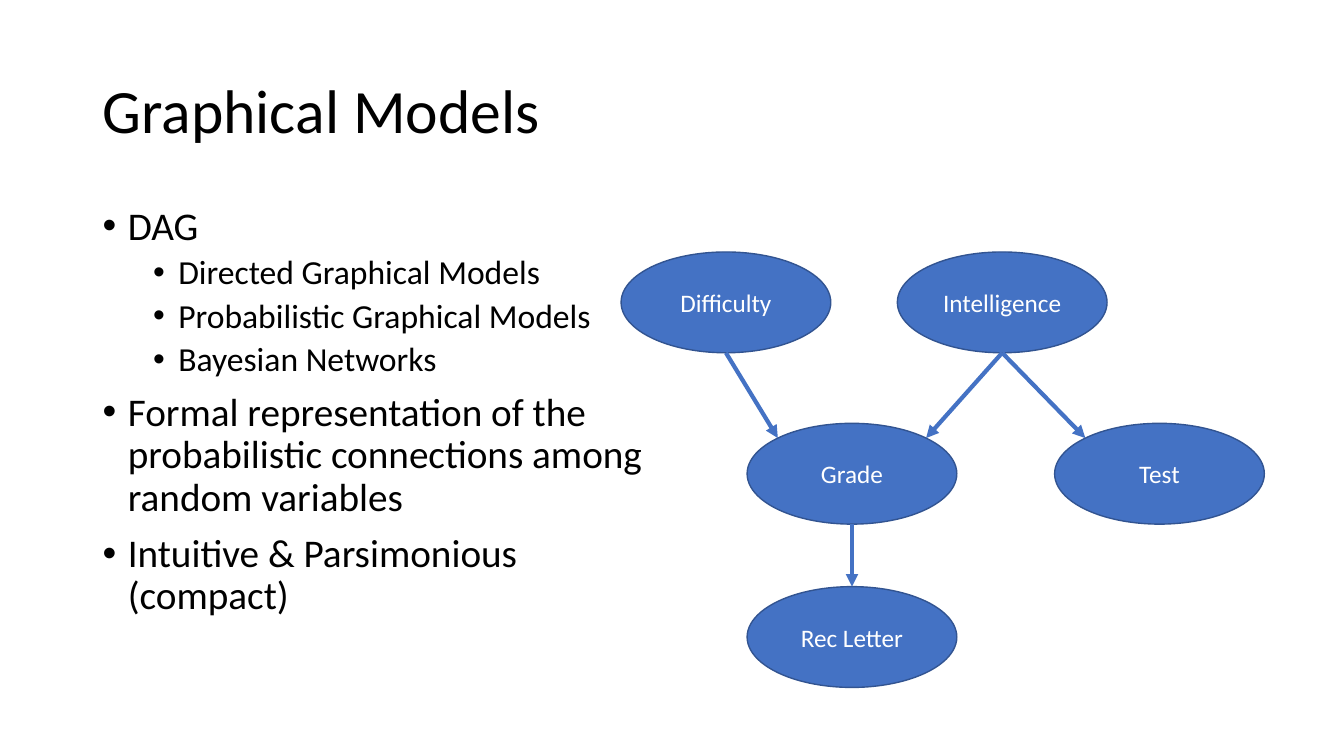
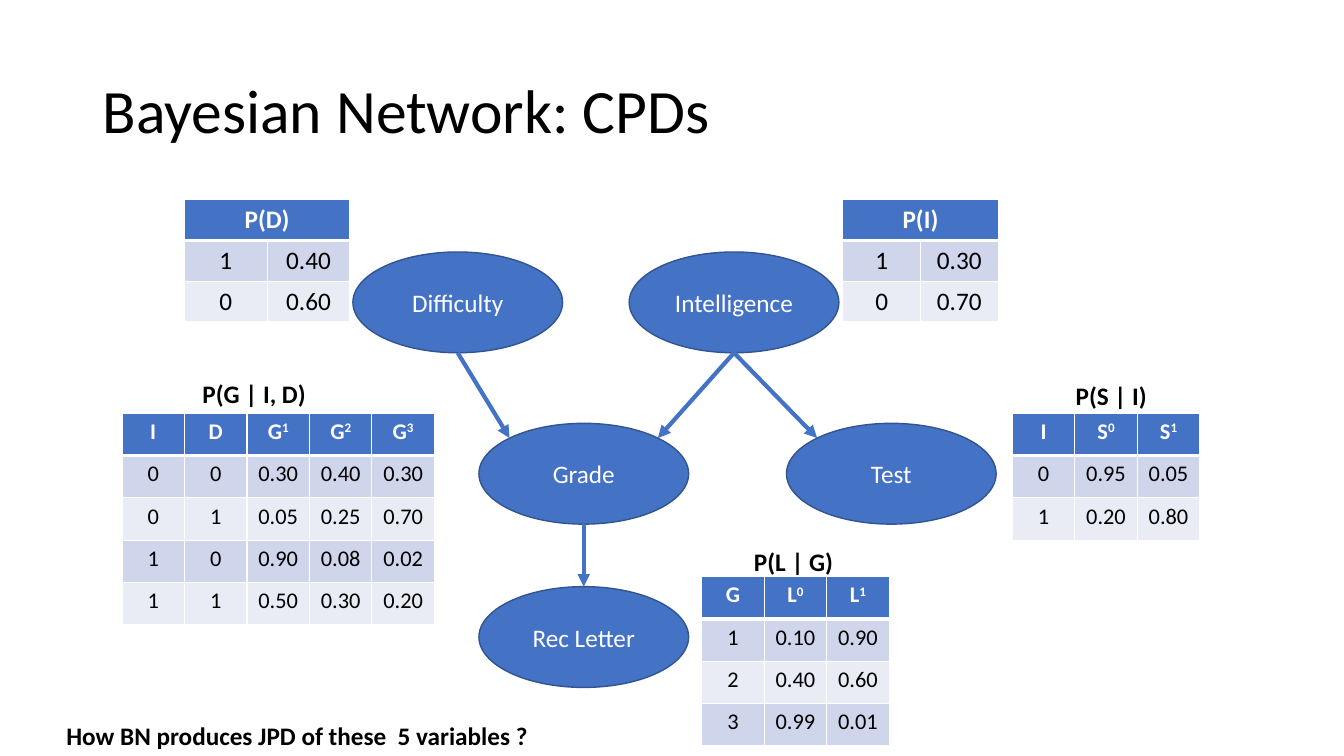
from math import sqrt

from lxml.etree import SubElement
from pptx import Presentation
from pptx.dml.color import RGBColor
from pptx.enum.shapes import MSO_CONNECTOR, MSO_SHAPE
from pptx.enum.text import MSO_ANCHOR, PP_ALIGN
from pptx.oxml.ns import qn
from pptx.util import Inches, Pt

COLORS = {
    "blue": "4472C4",
    "outline": "325491",
    "dark_band": "CFD5EA",
    "light_band": "E9EBF5",
    "black": "000000",
    "white": "FFFFFF",
}
FONT = "Calibri"
NODE_WIDTH, NODE_HEIGHT = 2.08, 1
NODES = {
    "Difficulty": (0, 0),
    "Intelligence": (2.74, 0),
    "Grade": (1.25, 1.7),
    "Test": (4.3, 1.7),
    "Rec Letter": (1.25, 3.32),
}
EDGES = [
    ("Difficulty", "Grade", -1),
    ("Intelligence", "Grade", 1),
    ("Intelligence", "Test", -1),
    ("Grade", "Rec Letter", 0),
]
BULLETS = [
    (0, "DAG"),
    (1, "Directed Graphical Models"),
    (1, "Probabilistic Graphical Models"),
    (1, "Bayesian Networks"),
    (0, "Formal representation of the probabilistic connections among random variables"),
    (0, "Intuitive & Parsimonious (compact)"),
]
PRIOR_TABLES = [
    (1.83, 1.98, 0.82, [["P(D)", ""], ["1", "0.40"], ["0", "0.60"]]),
    (8.36, 1.98, 0.77, [["P(I)", ""], ["1", "0.30"], ["0", "0.70"]]),
]
CONDITIONAL_TABLES = [
    (1.21, 4.1, [
        ["I", "D", "G^1", "G^2", "G^3"],
        ["0", "0", "0.30", "0.40", "0.30"],
        ["0", "1", "0.05", "0.25", "0.70"],
        ["1", "0", "0.90", "0.08", "0.02"],
        ["1", "1", "0.50", "0.30", "0.20"],
    ]),
    (10.04, 4.1, [
        ["I", "S^0", "S^1"],
        ["0", "0.95", "0.05"],
        ["1", "0.20", "0.80"],
    ]),
    (6.96, 5.72, [
        ["G", "L^0", "L^1"],
        ["1", "0.10", "0.90"],
        ["2", "0.40", "0.60"],
        ["3", "0.99", "0.01"],
    ]),
]
LABELS = [
    (1.91, 3.7, 1.4, "P(G | I, D)"),
    (10.57, 3.72, 1.1, "P(S | I)"),
    (7.38, 5.37, 1.1, "P(L | G)"),
    (0.56, 7.1, 5, "How BN produces JPD of these  5 variables ?"),
]


def color(name):
    """Return the named palette colour."""
    return RGBColor.from_string(COLORS[name])


def style_paragraph(paragraph, size, color_name="black", bold=False):
    """Set the font of a whole paragraph."""
    font = paragraph.font
    font.name, font.size, font.bold = FONT, Pt(size), bold
    font.color.rgb = color(color_name)


def add_text_frame(slide, left, top, width, height):
    """Add a wrapping text box and return its text frame."""
    box = slide.shapes.add_textbox(Inches(left), Inches(top), Inches(width), Inches(height))
    box.text_frame.word_wrap = True
    return box.text_frame


def add_title(slide, text):
    """Add the shared slide title."""
    frame = add_text_frame(slide, 0.92, 0.4, 11.5, 1.45)
    frame.vertical_anchor = MSO_ANCHOR.MIDDLE
    paragraph = frame.paragraphs[0]
    paragraph.text = text
    paragraph.line_spacing = 0.9
    style_paragraph(paragraph, 44)


def add_bullets(slide, left, top, width, height):
    """Add the two-level bullet list."""
    frame = add_text_frame(slide, left, top, width, height)
    for index, (level, text) in enumerate(BULLETS):
        paragraph = frame.add_paragraph() if index else frame.paragraphs[0]
        paragraph.text = text
        paragraph.level = level
        paragraph.line_spacing = 0.9
        if index:
            paragraph.space_before = Pt(5 if level else 10)
        properties = paragraph._p.get_or_add_pPr()
        properties.set("marL", str(Inches(0.25 + 0.5 * level)))
        properties.set("indent", str(Inches(-0.25)))
        SubElement(properties, qn("a:buFont")).set("typeface", "Arial")
        SubElement(properties, qn("a:buChar")).set("char", "•")
        style_paragraph(paragraph, 24 if level else 28)


def add_node(slide, left, top, text):
    """Add one variable as an ellipse."""
    node = slide.shapes.add_shape(
        MSO_SHAPE.OVAL, Inches(left), Inches(top), Inches(NODE_WIDTH), Inches(NODE_HEIGHT))
    node.shadow.inherit = False
    node.fill.solid()
    node.fill.fore_color.rgb = color("blue")
    node.line.color.rgb = color("outline")
    node.line.width = Pt(1)
    node.text_frame.vertical_anchor = MSO_ANCHOR.MIDDLE
    paragraph = node.text_frame.paragraphs[0]
    paragraph.text = text
    paragraph.alignment = PP_ALIGN.CENTER
    style_paragraph(paragraph, 18, "white")


def add_arrow(slide, start, end):
    """Add a straight arrow between two points."""
    arrow = slide.shapes.add_connector(
        MSO_CONNECTOR.STRAIGHT, *[Inches(value) for value in (*start, *end)])
    arrow.line.color.rgb = color("blue")
    arrow.line.width = Pt(3)
    SubElement(arrow.line._get_or_add_ln(), qn("a:tailEnd")).set("type", "triangle")
    SubElement(arrow._element.spPr, qn("a:effectLst"))


def add_network(slide, left, top):
    """Add the nodes and the arrows from bottom edges to upper rims."""
    for name, (x, y) in NODES.items():
        add_node(slide, left + x, top + y, name)
    for source, target, side in EDGES:
        source_x, source_y = NODES[source]
        target_x, target_y = NODES[target]
        reach = sqrt(0.5) if side else 1
        start = (left + source_x + NODE_WIDTH / 2, top + source_y + NODE_HEIGHT)
        end = (left + target_x + NODE_WIDTH / 2 * (1 + side * reach),
               top + target_y + NODE_HEIGHT / 2 * (1 - reach))
        add_arrow(slide, start, end)


def style_cell(cell, text, size, row):
    """Fill, border and write one cell, raising the part after a caret."""
    properties = cell._tc.get_or_add_tcPr()
    for edge in "LRTB":
        width = 3 if edge == "B" and row == 0 else 1
        line = SubElement(properties, qn(f"a:ln{edge}"), w=str(Pt(width)))
        fill = SubElement(line, qn("a:solidFill"))
        SubElement(fill, qn("a:srgbClr"), val=COLORS["white"])
    cell.fill.solid()
    band = "dark_band" if row % 2 else "light_band"
    cell.fill.fore_color.rgb = color(band if row else "blue")
    paragraph = cell.text_frame.paragraphs[0]
    paragraph.alignment = PP_ALIGN.CENTER
    style_paragraph(paragraph, size, "black" if row else "white", row == 0)
    base, _, raised = text.partition("^")
    if base:
        paragraph.add_run().text = base
    if raised:
        run = paragraph.add_run()
        run.text = raised
        run.font._element.set("baseline", "30000")


def add_probability_table(slide, left, top, column_width, row_height, size, rows):
    """Add a banded table with a header row."""
    columns = len(rows[0])
    table = slide.shapes.add_table(
        len(rows), columns, Inches(left), Inches(top),
        Inches(column_width * columns), Inches(row_height * len(rows))).table
    for column in table.columns:
        column.width = Inches(column_width)
    for row_index, values in enumerate(rows):
        table.rows[row_index].height = Inches(row_height)
        for column_index, text in enumerate(values):
            style_cell(table.cell(row_index, column_index), text, size, row_index)
    if not rows[0][-1]:
        table.cell(0, 0).merge(table.cell(0, columns - 1))


def add_label(slide, left, top, width, text):
    """Add a bold one-line label."""
    paragraph = add_text_frame(slide, left, top, width, 0.4).paragraphs[0]
    paragraph.text = text
    style_paragraph(paragraph, 18, bold=True)


def build_models_slide(slide):
    """Build the bullets beside the network."""
    add_title(slide, "Graphical Models")
    add_bullets(slide, 0.92, 2, 5.67, 4.76)
    add_network(slide, 6.16, 2.5)


def build_distributions_slide(slide):
    """Build the network surrounded by its probability tables."""
    add_title(slide, "Bayesian Network: CPDs")
    add_network(slide, 3.5, 2.5)
    for left, top, column_width, rows in PRIOR_TABLES:
        add_probability_table(slide, left, top, column_width, 0.405, 18, rows)
    for left, top, rows in CONDITIONAL_TABLES:
        add_probability_table(slide, left, top, 0.62, 0.42, 16, rows)
    for label in LABELS:
        add_label(slide, *label)


def main():
    """Build and save the presentation."""
    presentation = Presentation()
    presentation.slide_width = Inches(13.33)
    presentation.slide_height = Inches(7.5)
    for build in (build_models_slide, build_distributions_slide):
        build(presentation.slides.add_slide(presentation.slide_layouts[6]))
    presentation.save("out.pptx")


if __name__ == "__main__":
    main()
